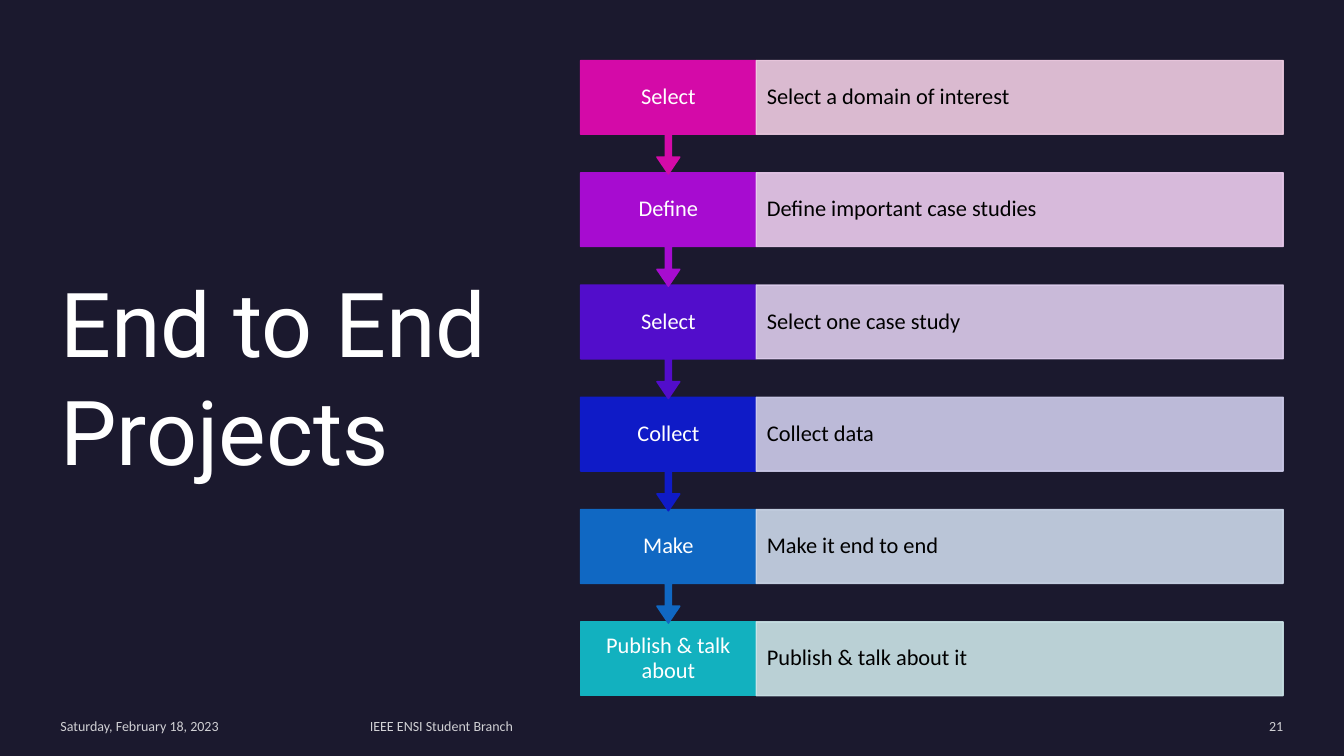
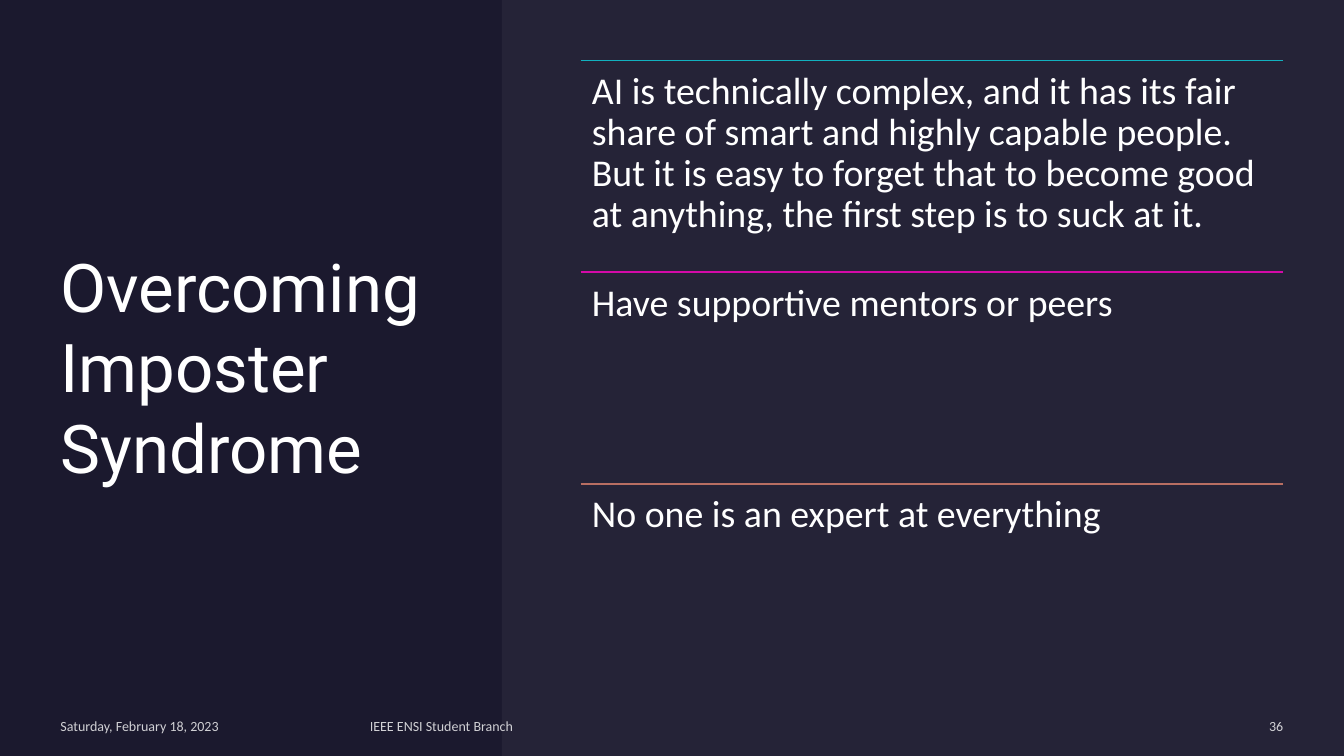
import pptx
import pptx.dml.color
import pptx.enum.shapes
import pptx.enum.text
import pptx.oxml
import pptx.oxml.ns
import pptx.util

Pt = pptx.util.Pt
ALIGN = pptx.enum.text.PP_ALIGN
ANCHOR = pptx.enum.text.MSO_ANCHOR
SHAPE = pptx.enum.shapes.MSO_SHAPE


class Theme:
    background = "1B192E"
    panel = "E4E3F0"
    light = "FFFFFF"
    dark = "000000"
    heading_font = "Roboto"
    body_font = "Calibri"
    title_size = 64
    long_title_size = 48
    statement_size = 27
    step_size = 16
    footer_size = 10


DATE = "Saturday, February 18, 2023"
ORGANISATION = "IEEE ENSI Student Branch"

PROJECTS = {
    "title": "End to End Projects",
    "number": "21",
    # label, description, label colour, description colour
    "steps": [
        ("Select", "Select a domain of interest", "D40AA8", "EFCCE2"),
        ("Define", "Define important case studies", "A70CD0", "ECCCEE"),
        ("Select", "Select one case study", "520DCB", "DCCCEC"),
        ("Collect", "Collect data", "0F1BC7", "CECCEB"),
        ("Make", "Make it end to end", "1068C3", "CCD8EA"),
        ("Publish & talk about", "Publish & talk about it", "12B1BF", "CCE4E8"),
    ],
}

IMPOSTER = {
    "title": "Overcoming Imposter\vSyndrome",
    "number": "36",
    "statements": [
        ("AI is technically complex, and it has its fair share of smart and highly "
         "capable people. But it is easy to forget that to become good at anything, "
         "the first step is to suck at it.", "12B1BF"),
        ("Have supportive mentors or peers", "D40AA8"),
        ("No one is an expert at everything", "B86E62"),
    ],
}

# Lengths in points
SLIDE_WIDTH, SLIDE_HEIGHT = 960, 540
MARGIN = 43.2
CONTENT_LEFT, CONTENT_RIGHT = 414.7, 916.6
CONTENT_WIDTH = CONTENT_RIGHT - CONTENT_LEFT
LABEL_WIDTH = CONTENT_WIDTH / 4
STEP_HEIGHT, STEP_PITCH = 52.7, 80.2
STEM_HALF, HEAD_HALF, STEM_LENGTH, ARROW_LENGTH = 2.2, 8.2, 16.3, 28.4
STATEMENT_PITCH = 151.2
PANEL_LEFT = 358.5
FOOTER_TOP, FOOTER_HEIGHT = 512.6, 12.2


def rgb(color):
    return pptx.dml.color.RGBColor.from_string(color)


def set_alpha(element, percent):
    """Make every colour inside the element partly transparent."""
    for color in element.iter(pptx.oxml.ns.qn("a:srgbClr")):
        alpha = pptx.oxml.parse_xml(
            f'<a:alpha {pptx.oxml.ns.nsdecls("a")} val="{percent * 1000}"/>')
        color.append(alpha)


def write_text(shape, text, *, size, color=Theme.light, font=Theme.body_font,
               align=ALIGN.LEFT, anchor=ANCHOR.MIDDLE, insets=(0, 0, 0, 0),
               line_spacing=1.0, alpha=None):
    """Insets run left, top, right, bottom."""
    frame = shape.text_frame
    frame.word_wrap = True
    frame.auto_size = pptx.enum.text.MSO_AUTO_SIZE.NONE
    frame.vertical_anchor = anchor
    (frame.margin_left, frame.margin_top,
     frame.margin_right, frame.margin_bottom) = map(Pt, insets)
    paragraph = frame.paragraphs[0]
    paragraph.text = text
    paragraph.alignment = align
    paragraph.line_spacing = line_spacing
    for run in paragraph.runs:
        run.font.name = font
        run.font.size = Pt(size)
        run.font.color.rgb = rgb(color)
    if alpha:
        set_alpha(frame._txBody, alpha)


def add_text(slide, left, top, width, height, text, **text_format):
    box = slide.shapes.add_textbox(Pt(left), Pt(top), Pt(width), Pt(height))
    write_text(box, text, **text_format)


def paint(shape, color, alpha=None, outlined=True):
    shape.shadow.inherit = False
    shape.fill.solid()
    shape.fill.fore_color.rgb = rgb(color)
    if outlined:
        shape.line.color.rgb = rgb(color)
        shape.line.width = Pt(1)
    else:
        shape.line.fill.background()
    if alpha:
        set_alpha(shape._element.spPr, alpha)


def add_rectangle(slide, left, top, width, height, color, **paint_format):
    shape = slide.shapes.add_shape(
        SHAPE.RECTANGLE, Pt(left), Pt(top), Pt(width), Pt(height))
    paint(shape, color, **paint_format)
    return shape


def add_rule(slide, left, top, width, color):
    rule = slide.shapes.add_connector(
        pptx.enum.shapes.MSO_CONNECTOR.STRAIGHT,
        Pt(left), Pt(top), Pt(left + width), Pt(top))
    rule.line.color.rgb = rgb(color)
    rule.line.width = Pt(1)
    rule._element.spPr.append(
        pptx.oxml.parse_xml(f'<a:effectLst {pptx.oxml.ns.nsdecls("a")}/>'))


def add_step_label(slide, top, text, color, has_arrow):
    """Draw a label box whose outline runs into an arrow to the next step."""
    left, right = CONTENT_LEFT, CONTENT_LEFT + LABEL_WIDTH
    middle, bottom = (left + right) / 2, top + STEP_HEIGHT
    neck = bottom + STEM_LENGTH
    arrow = [
        (middle + STEM_HALF, bottom), (middle + STEM_HALF, neck),
        (middle + HEAD_HALF, neck), (middle, bottom + ARROW_LENGTH),
        (middle - HEAD_HALF, neck), (middle - STEM_HALF, neck),
        (middle - STEM_HALF, bottom),
    ] if has_arrow else []
    outline = [*arrow, (left, bottom), (left, top), (right, top)]
    builder = slide.shapes.build_freeform(Pt(right), Pt(bottom))
    builder.add_line_segments([(Pt(x), Pt(y)) for x, y in outline], close=True)
    label = builder.convert_to_shape()
    paint(label, color)
    inset = 8.6
    write_text(label, text, size=Theme.step_size, align=ALIGN.CENTER, line_spacing=0.9,
               insets=(inset, inset, inset, inset + ARROW_LENGTH * has_arrow))


def start_slide(presentation, content, title_box, title_size):
    slide = presentation.slides.add_slide(presentation.slide_layouts[5])
    title = slide.shapes.title
    title.left, title.top, title.width, title.height = map(Pt, title_box)
    write_text(title, content["title"], size=title_size, font=Theme.heading_font)
    return slide


def add_footer(slide, number):
    for left, width, text, align in [
        (MARGIN, 207.4, DATE, ALIGN.LEFT),
        (264.2, 502.6, ORGANISATION, ALIGN.LEFT),
        (783.4, 133.2, number, ALIGN.RIGHT),
    ]:
        add_text(slide, left, FOOTER_TOP, width, FOOTER_HEIGHT, text,
                 size=Theme.footer_size, align=align, alpha=80)


def build_projects(presentation):
    slide = start_slide(presentation, PROJECTS, (MARGIN, 119.5, 357.1, 297.4),
                        Theme.title_size)
    add_footer(slide, PROJECTS["number"])
    steps = PROJECTS["steps"]
    # Last step first, so that each arrow tip lies over the box below it
    for index, (label, description, color, tint) in reversed(list(enumerate(steps))):
        top = MARGIN + index * STEP_PITCH
        add_step_label(slide, top, label, color, has_arrow=index < len(steps) - 1)
        box = add_rectangle(slide, CONTENT_LEFT + LABEL_WIDTH, top,
                            CONTENT_WIDTH - LABEL_WIDTH, STEP_HEIGHT, tint, alpha=90)
        write_text(box, description, size=Theme.step_size, color=Theme.dark,
                   insets=(7.6, 15.8, 7.6, 15.8), line_spacing=0.9)


def build_imposter(presentation):
    slide = start_slide(presentation, IMPOSTER, (MARGIN, MARGIN, 280.8, 436.3),
                        Theme.long_title_size)
    add_rectangle(slide, PANEL_LEFT, 0, SLIDE_WIDTH - PANEL_LEFT, SLIDE_HEIGHT,
                  Theme.panel, alpha=5, outlined=False)
    add_footer(slide, IMPOSTER["number"])
    for index, (statement, color) in enumerate(IMPOSTER["statements"]):
        top = MARGIN + index * STATEMENT_PITCH
        add_rule(slide, CONTENT_LEFT, top, CONTENT_WIDTH, color)
        add_text(slide, CONTENT_LEFT, top, CONTENT_WIDTH, STATEMENT_PITCH, statement,
                 size=Theme.statement_size, anchor=ANCHOR.TOP,
                 insets=(8.1, 8.1, 8.1, 8.1), line_spacing=0.9)


def main():
    presentation = pptx.Presentation()
    presentation.slide_width = Pt(SLIDE_WIDTH)
    presentation.slide_height = Pt(SLIDE_HEIGHT)
    background = presentation.slide_master.background.fill
    background.solid()
    background.fore_color.rgb = rgb(Theme.background)
    build_projects(presentation)
    build_imposter(presentation)
    presentation.save("out.pptx")


if __name__ == "__main__":
    main()
